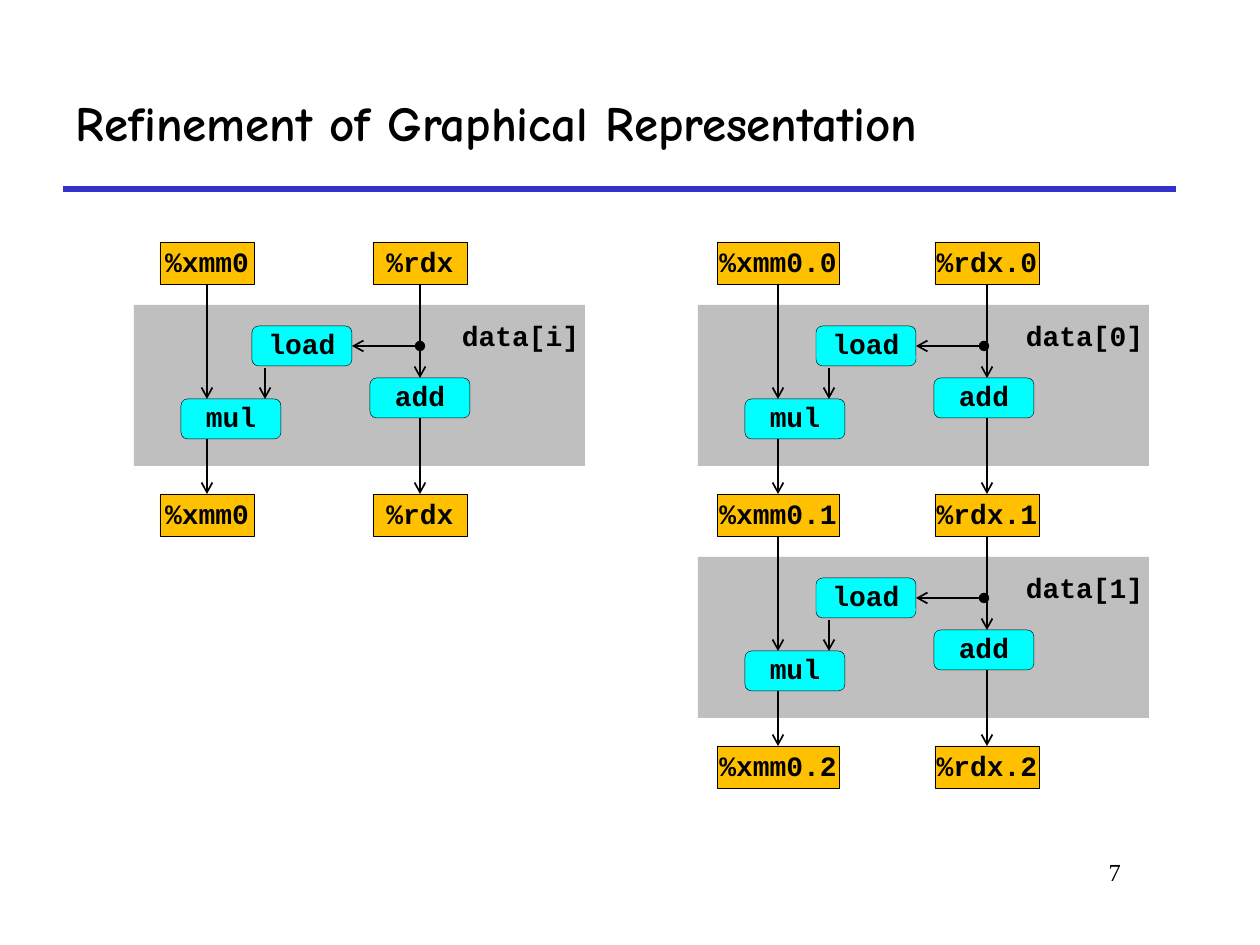
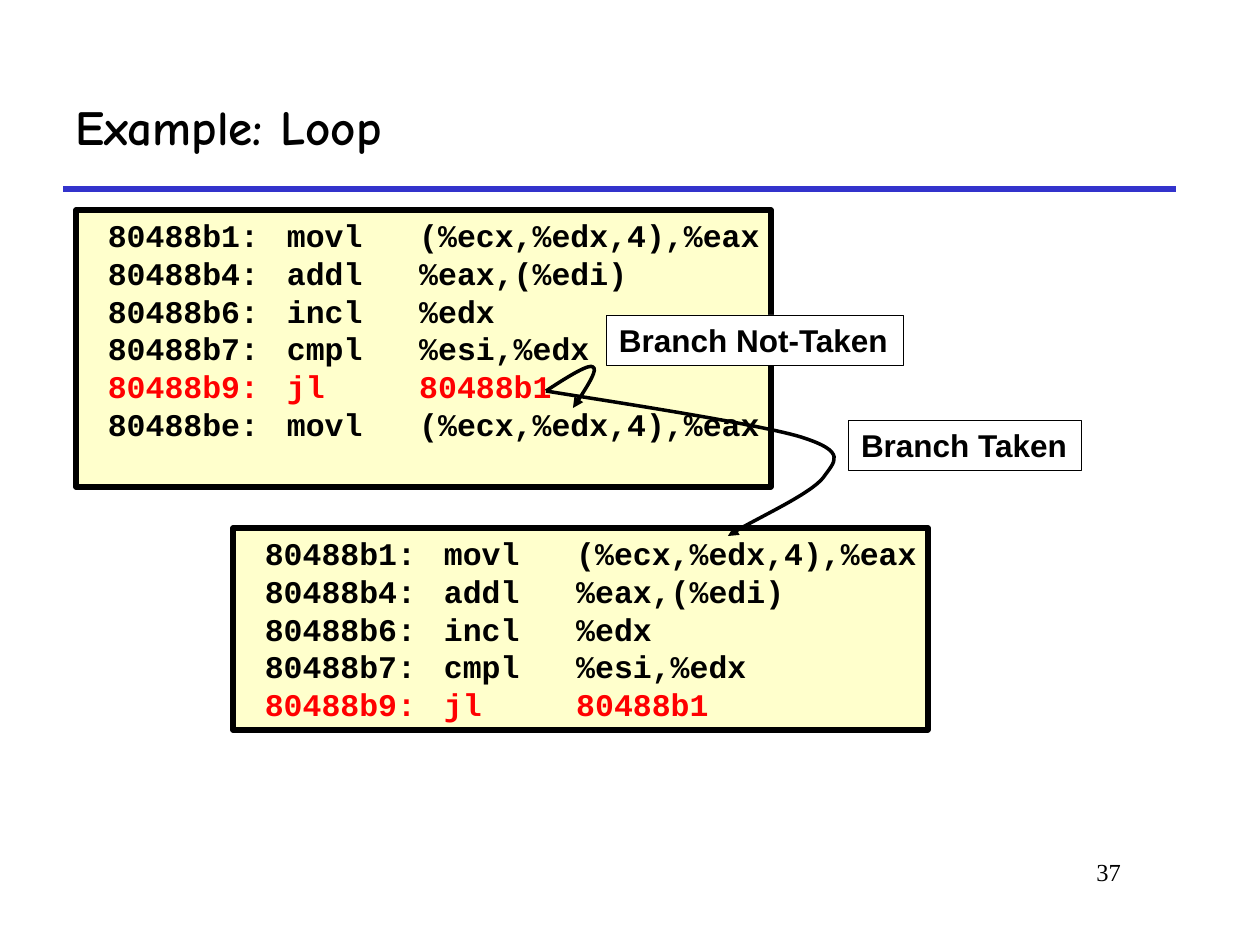
"""Builds two lecture slides: a data-flow refinement and a branch example."""
from dataclasses import dataclass

from lxml import etree
from pptx import Presentation, util as u
from pptx.dml.color import RGBColor
from pptx.enum import shapes, text
from pptx.oxml.ns import qn


@dataclass(frozen=True)
class Theme:
    ink: str = "000000"
    paper: str = "FFFFFF"
    rule: str = "3333CC"
    block: str = "BFBFBF"
    register: str = "FFC000"
    operation: str = "00FFFF"
    code: str = "FFFFCC"
    jump: str = "FF0000"
    title_font: str = "Comic Neue"
    code_font: str = "Courier New"
    label_font: str = "Arial"
    number_font: str = "Times New Roman"
    title_size: int = 28
    code_size: int = 18
    node_size: int = 16
    number_size: int = 14
    hairline: float = 0.25
    arrow_line: int = 1
    curve_line: int = 2
    heavy_line: int = 3


THEME = Theme()
EMU_PER_PX = 914400 / 126
ROW_STEP = 252
LOOP_BODY = [
    ("80488b1:\tmovl   (%ecx,%edx,4),%eax", THEME.ink),
    ("80488b4:\taddl   %eax,(%edi)", THEME.ink),
    ("80488b6:\tincl   %edx", THEME.ink),
    ("80488b7:\tcmpl   %esi,%edx", THEME.ink),
    ("80488b9:\tjl     80488b1", THEME.jump),
]
AFTER_LOOP = [("80488be:\tmovl   (%ecx,%edx,4),%eax", THEME.ink)]


def px(length):
    return u.Emu(round(length * EMU_PER_PX))


def box_px(box):
    return [px(length) for length in box]


def colour(code):
    return RGBColor.from_string(code)


def style_line(shape, code, width):
    shape.line.color.rgb = colour(code)
    shape.line.width = u.Pt(width)


def add_ends(shape, head, tail):
    line = shape._element.spPr.find(qn("a:ln"))
    for tag, kind in (("a:headEnd", head), ("a:tailEnd", tail)):
        if kind:
            etree.SubElement(line, qn(tag), type=kind)


def prepare_frame(shape, margins, anchor):
    frame = shape.text_frame
    frame.word_wrap = True
    frame.vertical_anchor = anchor
    frame.margin_left, frame.margin_top, frame.margin_right, frame.margin_bottom = box_px(margins)
    return frame


def add_run(paragraph, words, font, size, bold=True, code=THEME.ink):
    run = paragraph.add_run()
    run.text = words
    run.font.name, run.font.size, run.font.bold = font, u.Pt(size), bold
    run.font.color.rgb = colour(code)


def add_box(slide, box, fill, outline=None, rounded=False):
    kind = shapes.MSO_SHAPE.ROUNDED_RECTANGLE if rounded else shapes.MSO_SHAPE.RECTANGLE
    shape = slide.shapes.add_shape(kind, *box_px(box))
    shape.shadow.inherit = False
    if fill:
        shape.fill.solid()
        shape.fill.fore_color.rgb = colour(fill)
    else:
        shape.fill.background()
    if outline:
        style_line(shape, THEME.ink, outline)
    else:
        shape.line.fill.background()
    return shape


def add_text(slide, box, words, font, size, anchor=text.MSO_ANCHOR.TOP,
             align=text.PP_ALIGN.LEFT, spacing=1.0, bold=True):
    shape = slide.shapes.add_textbox(*box_px(box))
    paragraph = prepare_frame(shape, (13, 6, 13, 6), anchor).paragraphs[0]
    paragraph.alignment = align
    paragraph.line_spacing = spacing
    add_run(paragraph, words, font, size, bold)


def add_node(slide, box, words, fill, rounded=False):
    shape = add_box(slide, box, fill, THEME.hairline, rounded)
    paragraph = prepare_frame(shape, (0, 0, 0, 0), text.MSO_ANCHOR.MIDDLE).paragraphs[0]
    paragraph.alignment = text.PP_ALIGN.CENTER
    paragraph.line_spacing = 0.9
    add_run(paragraph, words, THEME.code_font, THEME.node_size)
    return shape


def add_label(slide, box, words, fill=None):
    shape = add_box(slide, box, fill, THEME.hairline)
    paragraph = prepare_frame(shape, (13, 6, 0, 6), text.MSO_ANCHOR.TOP).paragraphs[0]
    paragraph.alignment = text.PP_ALIGN.LEFT
    add_run(paragraph, words, THEME.label_font, THEME.code_size)


def add_listing(slide, box, lines):
    shape = add_box(slide, box, THEME.code, THEME.heavy_line)
    frame = prepare_frame(shape, (13, 6, 0, 6), text.MSO_ANCHOR.TOP)
    for index, (words, code) in enumerate(lines):
        paragraph = frame.add_paragraph() if index else frame.paragraphs[0]
        paragraph.alignment = text.PP_ALIGN.LEFT
        tabs = etree.SubElement(paragraph._p.get_or_add_pPr(), qn("a:tabLst"))
        etree.SubElement(tabs, qn("a:tab"), pos=str(px(198)), algn="l")
        add_run(paragraph, " " + words, THEME.code_font, THEME.code_size, code=code)


def side_middles(shape):
    middle_x, middle_y = shape.left + shape.width // 2, shape.top + shape.height // 2
    return [(middle_x, shape.top), (shape.left, middle_y),
            (middle_x, shape.top + shape.height), (shape.left + shape.width, middle_y)]


def add_line(slide, start, end, code, width, neighbours=(), head=None, tail=None):
    """Draws a line and joins each end that meets the middle of a neighbour's side."""
    line = slide.shapes.add_connector(
        shapes.MSO_CONNECTOR.STRAIGHT, *box_px(start), *box_px(end))
    style_line(line, code, width)
    add_ends(line, head, tail)
    etree.SubElement(line._element.spPr, qn("a:effectLst"))
    for point, connect in ((start, line.begin_connect), (end, line.end_connect)):
        for shape in neighbours:
            for site, middle in enumerate(side_middles(shape)):
                if all(abs(a - b) < px(1) for a, b in zip(middle, box_px(point))):
                    connect(shape, site)


def add_arrow(slide, start, end, *neighbours, head=None):
    add_line(slide, start, end, THEME.ink, THEME.arrow_line, neighbours, head, "arrow")


def add_curve(slide, start, controls):
    """Draws a chain of cubic curves, three control points for each."""
    builder = slide.shapes.build_freeform(*box_px(start))
    builder.add_line_segments([box_px(point) for point in controls], close=False)
    shape = builder.convert_to_shape()
    shape.shadow.inherit = False
    shape.fill.background()
    style_line(shape, THEME.ink, THEME.curve_line)
    add_ends(shape, None, "triangle")
    segments = list(shape._element.iter(qn("a:lnTo")))
    outline = segments[0].getparent()
    for first in range(0, len(segments), 3):
        curve = etree.SubElement(outline, qn("a:cubicBezTo"))
        for segment in segments[first:first + 3]:
            curve.append(segment[0])
            outline.remove(segment)


def add_slide(presentation, title, number, spacing=1.0):
    slide = presentation.slides.add_slide(presentation.slide_layouts[6])
    add_line(slide, (63, 189), (1176, 189), THEME.rule, THEME.heavy_line)
    add_text(slide, (955, 851, 179, 63), number, THEME.number_font, THEME.number_size,
             align=text.PP_ALIGN.RIGHT, bold=False)
    add_text(slide, (63, 63, 1113, 126), title, THEME.title_font, THEME.title_size,
             text.MSO_ANCHOR.MIDDLE, spacing=spacing)
    return slide


def add_registers(slide, top, columns, suffix=""):
    return [add_node(slide, (left, top, width, 42), name + suffix, THEME.register)
            for name, (left, width) in zip(("%xmm0", "%rdx"), columns)]


def add_iteration(slide, left, top, columns, label, upper, lower):
    """Draws one loop iteration between two register rows."""
    xmm_x, rdx_x = [start + width // 2 for start, width in columns]
    add_box(slide, (left, top + 63, 451, 161), THEME.block)
    load, mul, add = [
        add_node(slide, (left + dx, top + dy, 100, 40), name, THEME.operation, True)
        for name, dx, dy in (("load", 118, 84), ("mul", 47, 157), ("add", 236, 136))]
    add_arrow(slide, (xmm_x, top + 197), (xmm_x, top + ROW_STEP), mul, lower[0])
    add_arrow(slide, (left + 286, top + 104), (left + 218, top + 104), load, head="oval")
    add_arrow(slide, (rdx_x, top + 42), (rdx_x, top + 136), upper[1], add)
    add_arrow(slide, (rdx_x, top + 176), (rdx_x, top + ROW_STEP), add, lower[1])
    add_arrow(slide, (xmm_x, top + 42), (xmm_x, top + 157), upper[0], mul)
    add_arrow(slide, (left + 131, top + 126), (left + 131, top + 157))
    add_text(slide, (left + 315, top + 74, 152, 43), label, THEME.code_font,
             THEME.node_size, spacing=0.9)


def add_flow(slide, left, columns, labels, suffixes):
    tops = [242 + ROW_STEP * row for row in range(len(suffixes))]
    rows = [add_registers(slide, top, columns, suffix) for top, suffix in zip(tops, suffixes)]
    for top, label, upper, lower in zip(tops, labels, rows, rows[1:]):
        add_iteration(slide, left, top, columns, label, upper, lower)


def build_refinement(presentation):
    slide = add_slide(presentation, "Refinement of Graphical Representation", "7", 0.9)
    add_flow(slide, 134, [(160, 94), (373, 94)], ["data[i]"], ["", ""])
    add_flow(slide, 698, [(717, 122), (935, 104)], ["data[0]", "data[1]"], [".0", ".1", ".2"])


def build_loop(presentation):
    slide = add_slide(presentation, "Example: Loop", "37")
    jump = (546, 391)
    add_listing(slide, (76, 210, 695, 277), LOOP_BODY + AFTER_LOOP)
    add_listing(slide, (233, 528, 695, 202), LOOP_BODY)
    add_label(slide, (848, 420, 233, 50), "Branch Taken")
    add_curve(slide, jump, [(567, 377), (590, 363), (593, 367),
                            (598, 369), (586, 389), (573, 408)])
    add_label(slide, (606, 315, 297, 50), "Branch Not-Taken", THEME.paper)
    add_curve(slide, jump, [(588, 398), (755, 423), (801, 437),
                            (848, 452), (835, 461), (823, 478),
                            (810, 494), (747, 523), (728, 536)])


def main():
    presentation = Presentation()
    presentation.slide_width, presentation.slide_height = px(1260), px(945)
    build_refinement(presentation)
    build_loop(presentation)
    presentation.save("out.pptx")


if __name__ == "__main__":
    main()
